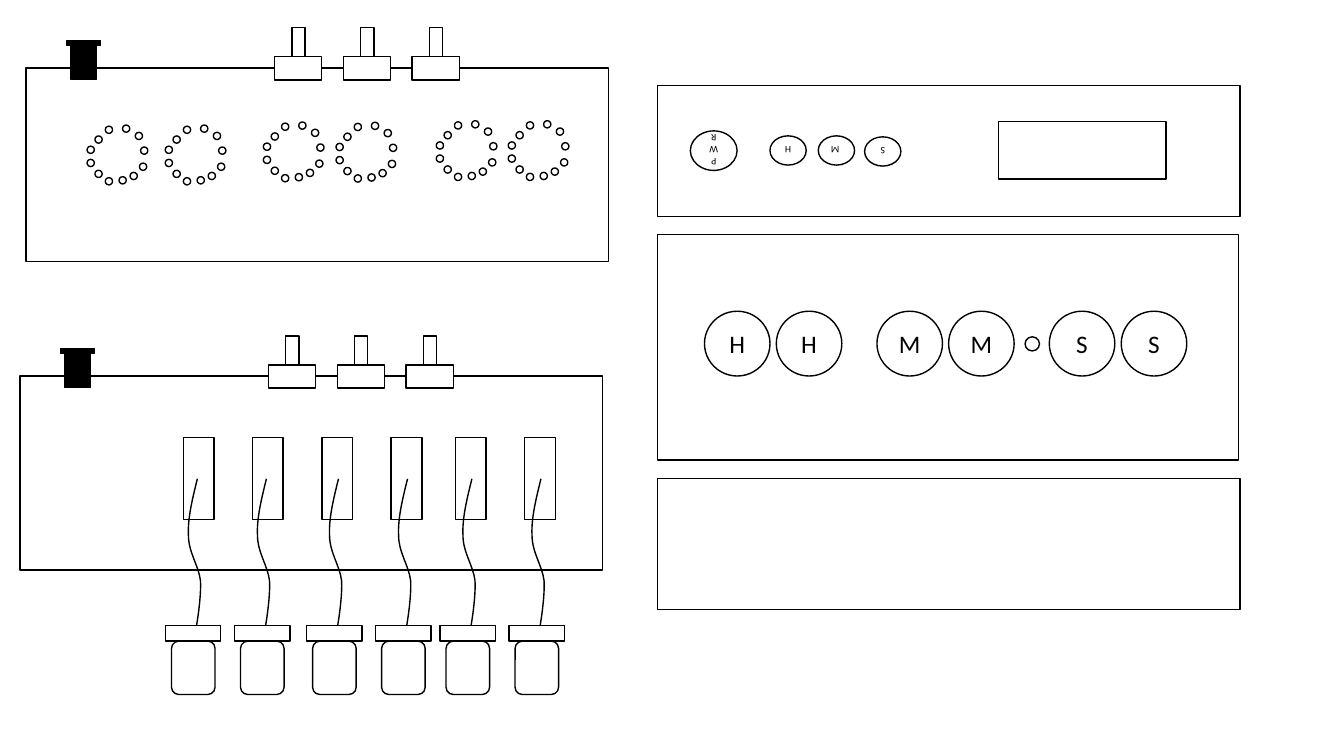
import lxml.etree
import pptx
import pptx.util
from pptx.dml.color import RGBColor
from pptx.enum.shapes import MSO_SHAPE
from pptx.enum.text import PP_ALIGN
from pptx.oxml.ns import qn

Pt = pptx.util.Pt
BLACK = RGBColor(0, 0, 0)
WHITE = RGBColor(255, 255, 255)
RECTANGLE = MSO_SHAPE.RECTANGLE
OVAL = MSO_SHAPE.OVAL

PANELS = [
    (469.6, 167.3, 415.3, 161.2),
    (469.6, 61, 416.2, 93.7),
    (469.6, 341.9, 416.2, 93.7),
    (713.3, 86.7, 119.6, 41.3),
]
DIGITS = [("H", 503.2), ("H", 554.5), ("M", 626.4), ("M", 677.6), ("S", 749.5), ("S", 800.9)]
DIGIT_TOP, DIGIT_WIDTH, DIGIT_HEIGHT = 222.3, 46.8, 46.3
SEPARATOR = (732.2, 240.6, 10.3, 10.1)
BUTTONS = [
    ("PWR", 493.1, 93.5, 33.4, 28.2),
    ("H", 550, 97, 25.9, 20.9),
    ("M", 584.5, 97, 25.9, 20.9),
    ("S", 617.6, 97.7, 25.9, 20.9),
]

CASES = [(18.6, 48.5), (14.2, 268.6)]
CASE_SIZE = (416.2, 138.5)
JACK_PARTS = [(32.1, -16, 18.4, 24.3), (29.2, -19.6, 24.1, 3.6)]
SWITCH_LEFTS = [177.5, 226.7, 275.8]
SWITCH_PARTS = [(0, -7.9, 33.8, 16.5), (12.4, -28.7, 9.4, 20.8)]

RINGS = [(62.2, 89.3), (118, 89.3), (188.1, 87.1), (240, 87.3), (311.6, 86.2), (363, 86.2)]
RING_DOTS = [
    (25.3, 0), (34.4, 5.2), (38.2, 15.7), (37.4, 27.2), (30.7, 33.8), (22.8, 36.9),
    (13, 37.6), (5.6, 32.3), (0, 24.5), (0, 15.1), (5.6, 7.8), (13, 0.8),
]
DOT_SIZE = 5.2

SOCKET_LEFTS = [131, 180.3, 229.9, 279.4, 325.2, 374.7]
SOCKET_TOP, SOCKET_WIDTH, SOCKET_HEIGHT = 312.6, 21.9, 58.3
BULB_LEFTS = [122.5, 171.8, 223.3, 272.6, 318.6, 367.9]
BULB_TOP, BULB_WIDTH, BULB_HEIGHT = 458, 31.1, 38.1
CAP_OFFSET, CAP_TOP, CAP_WIDTH, CAP_HEIGHT = -4.4, 446.8, 39.6, 11.2
WIRE_START = (18.5, 342)
WIRE_CURVES = [
    [(15, 356.2), (11.5, 370.1), (12.1, 382.3)],
    [(12.1, 394.6), (19.4, 403.9), (20.7, 414.7)],
    [(21.4, 425.5), (18.5, 443.5), (18, 446.4)],
]


def outline(shape, fill=None):
    shape.shadow.inherit = False
    shape.line.color.rgb = BLACK
    shape.line.width = Pt(1)
    if fill is None:
        shape.fill.background()
    else:
        shape.fill.solid()
        shape.fill.fore_color.rgb = fill


def add_part(slide, kind, left, top, width, height, fill=None):
    shape = slide.shapes.add_shape(kind, Pt(left), Pt(top), Pt(width), Pt(height))
    outline(shape, fill)
    return shape


def add_turned_part(slide, left, top, width, height):
    shift = (width - height) / 2
    shape = add_part(slide, RECTANGLE, left + shift, top - shift, height, width, WHITE)
    shape.rotation = 90


def add_label(shape, text, size):
    paragraph = shape.text_frame.paragraphs[0]
    paragraph.text = text
    paragraph.alignment = PP_ALIGN.CENTER
    paragraph.font.name = "Calibri"
    paragraph.font.size = Pt(size)
    paragraph.font.color.rgb = BLACK


def add_wire(slide, left):
    ends = [(Pt(left + x), Pt(y)) for x, y in (curve[-1] for curve in WIRE_CURVES)]
    builder = slide.shapes.build_freeform(Pt(left + WIRE_START[0]), Pt(WIRE_START[1]))
    builder.add_line_segments(ends, close=False)
    wire = builder.convert_to_shape()
    outline(wire)
    for segment, curve in zip(list(wire.element.iter(qn("a:lnTo"))), WIRE_CURVES):
        bend = lxml.etree.Element(qn("a:cubicBezTo"))
        for x, y in curve:
            place = {"x": str(Pt(left + x) - wire.left), "y": str(Pt(y) - wire.top)}
            lxml.etree.SubElement(bend, qn("a:pt"), place)
        segment.getparent().replace(segment, bend)


def add_case(slide, left, top):
    add_part(slide, RECTANGLE, left, top, *CASE_SIZE)
    for x, y, width, height in JACK_PARTS:
        add_part(slide, RECTANGLE, left + x, top + y, width, height, BLACK)
    for switch_left in SWITCH_LEFTS:
        for x, y, width, height in SWITCH_PARTS:
            add_part(slide, RECTANGLE, left + switch_left + x, top + y, width, height, WHITE)


def main():
    presentation = pptx.Presentation()
    presentation.slide_width = Pt(960)
    presentation.slide_height = Pt(540)
    slide = presentation.slides.add_slide(presentation.slide_layouts[6])

    for panel in PANELS:
        add_part(slide, RECTANGLE, *panel)
    for text, left in DIGITS:
        digit = add_part(slide, OVAL, left, DIGIT_TOP, DIGIT_WIDTH, DIGIT_HEIGHT)
        add_label(digit, text, 18)
    add_part(slide, OVAL, *SEPARATOR)
    for text, *place in BUTTONS:
        button = add_part(slide, OVAL, *place)
        button.rotation = 180
        add_label(button, text, 7)

    for left, top in CASES:
        add_case(slide, left, top)
    for left, top in RINGS:
        for x, y in RING_DOTS:
            add_part(slide, OVAL, left + x, top + y, DOT_SIZE, DOT_SIZE)

    for left in SOCKET_LEFTS:
        add_turned_part(slide, left, SOCKET_TOP, SOCKET_WIDTH, SOCKET_HEIGHT)
    for left in BULB_LEFTS:
        add_wire(slide, left)
        add_part(slide, MSO_SHAPE.ROUNDED_RECTANGLE, left, BULB_TOP, BULB_WIDTH, BULB_HEIGHT, WHITE)
        add_turned_part(slide, left + CAP_OFFSET, CAP_TOP, CAP_WIDTH, CAP_HEIGHT)

    presentation.save("out.pptx")


if __name__ == "__main__":
    main()
